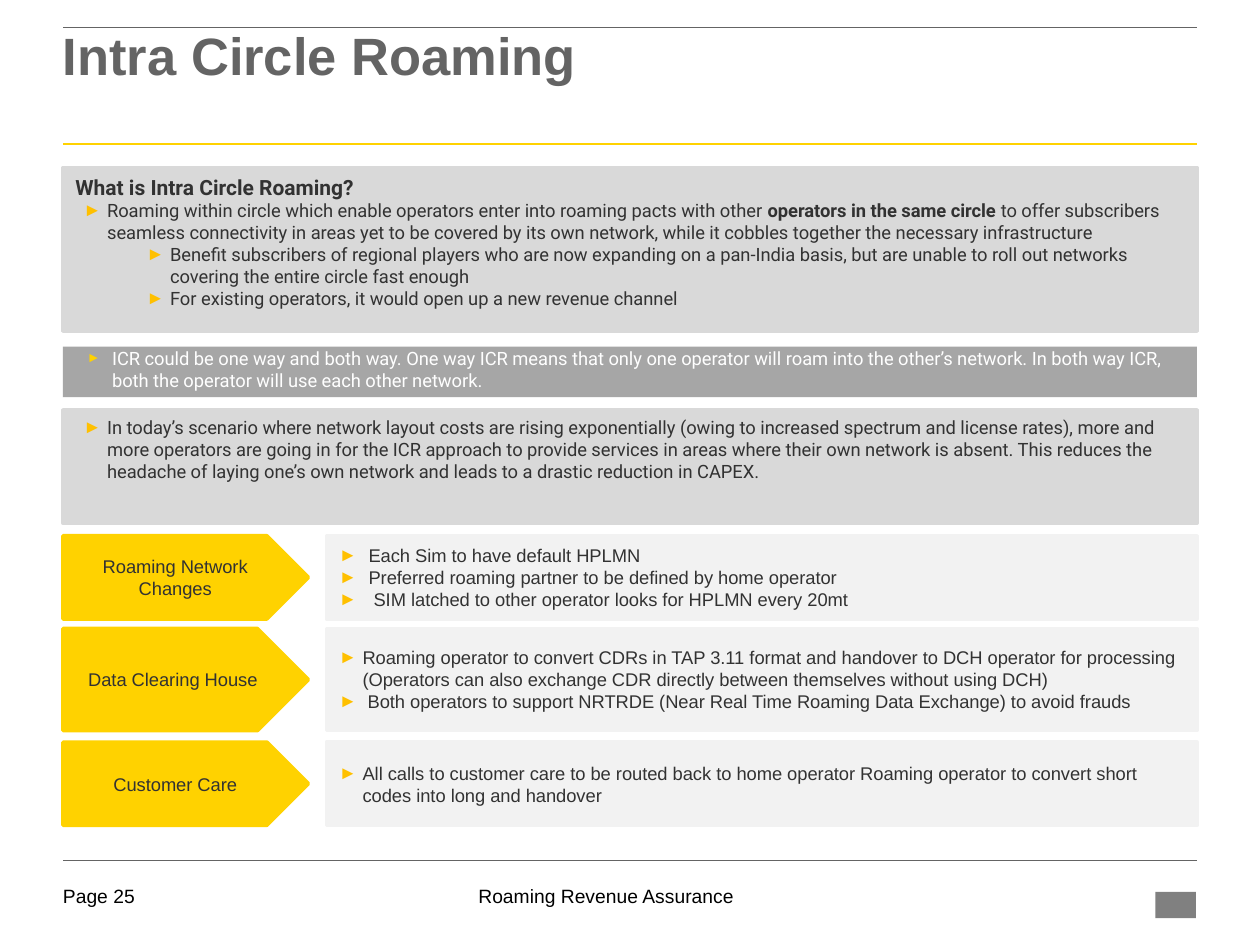
from lxml.etree import SubElement
from pptx import Presentation
from pptx.dml.color import RGBColor
from pptx.enum.shapes import MSO_CONNECTOR as Connector, MSO_SHAPE as Shape
from pptx.enum.text import MSO_ANCHOR as Anchor, PP_ALIGN as Align
from pptx.oxml.ns import qn
from pptx.util import Cm, Pt

COLORS = {
    "yellow": "FFD200", "amber": "FFC000", "title": "646464", "text": "323232",
    "panel": "D9D9D9", "band": "A6A6A6", "detail": "F2F2F2", "mark": "808080",
    "white": "FFFFFF", "black": "000000",
}
LEFT, WIDTH = 1.27, 22.86
DETAIL_LEFT, LABEL_WIDTH = 6.58, 4.95
INSETS = (0.25, 0.13, 0.25, 0.13)
NO_INSETS = (0, 0, 0, 0)

INTRO = [
    "Roaming within circle which enable operators enter into roaming pacts with other "
    "**operators in the same circle **to offer subscribers seamless connectivity in areas yet "
    "to be covered by its own network, while it cobbles together the necessary infrastructure",
]
BENEFITS = [
    "Benefit subscribers of regional players who are now expanding on a pan-India basis, "
    "but are unable to roll out networks covering the entire circle fast enough",
    "For existing operators, it would open up a new revenue channel",
]
WAYS = (
    "ICR could be one way and both way. One way ICR means that only one operator will roam "
    "into the other’s network. In both way ICR, both the operator will use each other network."
)
SCENARIO = (
    "In today’s scenario where network layout costs are rising exponentially (owing to increased "
    "spectrum and license rates), more and more operators are going in for the ICR approach to "
    "provide services in areas where their own network is absent. This reduces the headache of "
    "laying one’s own network and leads to a drastic reduction in CAPEX."
)
IMPACTS = [
    ("Roaming Network Changes", 10.8, 1.68, 0.6, [
        "Each Sim to have default HPLMN",
        "Preferred roaming partner to be defined by home operator",
        " SIM latched to other operator looks for HPLMN every 20mt",
    ]),
    ("Data Clearing House", 12.67, 2.06, 0.48, [
        "Roaming operator to convert CDRs in TAP 3.11 format and handover to DCH operator for "
        "processing (Operators can also exchange CDR directly between themselves without using DCH)",
        " Both operators to support NRTRDE (Near Real Time Roaming Data Exchange) to avoid frauds",
    ]),
    ("Customer Care", 14.96, 1.68, 0.48, [
        "All calls to customer care to be routed back to home operator Roaming operator to "
        "convert short codes into long and handover",
    ]),
]


def rgb(name):
    """Return the named palette colour."""
    return RGBColor.from_string(COLORS[name])


def prepare_frame(shape, insets=INSETS, anchor=Anchor.TOP):
    """Set wrapping, margins and anchor, and return the text frame."""
    frame = shape.text_frame
    frame.word_wrap = True
    frame.vertical_anchor = anchor
    (frame.margin_left, frame.margin_top,
     frame.margin_right, frame.margin_bottom) = map(Cm, insets)
    return frame


def add_bullet(paragraph, indent, hang, color, scale):
    """Give a paragraph a hanging arrow bullet."""
    properties = paragraph._p.get_or_add_pPr()
    properties.set("marL", str(Cm(indent)))
    properties.set("indent", str(-Cm(hang)))
    bullet_color = SubElement(properties, qn("a:buClr"))
    SubElement(bullet_color, qn("a:srgbClr"), val=COLORS[color])
    SubElement(properties, qn("a:buSzPct"), val=str(scale * 1000))
    SubElement(properties, qn("a:buFont"), typeface="Arial")
    SubElement(properties, qn("a:buChar"), char="►")


def add_text(frame, text, size=10.5, font="Arial", color="text", bold=False, align=Align.LEFT,
             spacing=None, indent=None, hang=0.48, bullet="amber", scale=100):
    """Add a paragraph in which double asterisks switch bold on and off."""
    paragraph = frame.paragraphs[0]
    if paragraph.runs:
        paragraph = frame.add_paragraph()
    paragraph.alignment = align
    if spacing:
        paragraph.line_spacing = spacing
    if indent is not None:
        add_bullet(paragraph, indent, hang, bullet, scale)
    for index, part in enumerate(text.split("**")):
        run = paragraph.add_run()
        run.text = part
        run.font.name = font
        run.font.size = Pt(size)
        run.font.bold = bold or index % 2 == 1
        run.font.color.rgb = rgb(color)


def add_box(slide, kind, left, top, width, height, color, outlined=True):
    """Add a flat filled shape, with an outline of the same colour if wanted."""
    shape = slide.shapes.add_shape(kind, Cm(left), Cm(top), Cm(width), Cm(height))
    shape.shadow.inherit = False
    shape.fill.solid()
    shape.fill.fore_color.rgb = rgb(color)
    if outlined:
        shape.line.color.rgb = rgb(color)
        shape.line.width = Pt(2)
    else:
        shape.line.fill.background()
    return shape


def add_label(slide, text, left, top, width, height, insets=NO_INSETS, **style):
    """Add a text box holding one paragraph."""
    box = slide.shapes.add_textbox(Cm(left), Cm(top), Cm(width), Cm(height))
    add_text(prepare_frame(box, insets), text, **style)


def add_rule(slide, top, color, weight):
    """Add a horizontal line across the content width."""
    line = slide.shapes.add_connector(
        Connector.STRAIGHT, Cm(LEFT), Cm(top), Cm(LEFT + WIDTH), Cm(top))
    line.line.color.rgb = rgb(color)
    line.line.width = Pt(weight)
    SubElement(line._element.spPr, qn("a:effectLst"))


def add_page_frame(slide):
    """Add the title, the rules and the footer."""
    for top, color, weight in [(0.56, "title", 0.5), (2.9, "yellow", 1.5), (17.35, "title", 0.25)]:
        add_rule(slide, top, color, weight)
    add_label(slide, "Intra Circle Roaming", LEFT, 0.56, WIDTH, 2.39, insets=(0, 0.1, 0, 0),
              size=30, color="title", bold=True, spacing=0.85)
    add_label(slide, "Page 25", LEFT, 17.83, 1.85, 0.56, size=11, color="black")
    add_label(slide, "Roaming Revenue Assurance", 6.99, 17.83, 10.46, 0.58,
              size=11, color="black", align=Align.CENTER)
    add_box(slide, Shape.RECTANGLE, 23.29, 17.98, 0.82, 0.53, "mark", outlined=False)


def add_explanation(slide):
    """Add the three full-width panels about intra circle roaming."""
    intro = prepare_frame(add_box(slide, Shape.RECTANGLE, LEFT, 3.38, WIDTH, 3.3, "panel"))
    add_text(intro, "What is Intra Circle Roaming?", size=12, font="Roboto", bold=True)
    for indent, points in [(0.64, INTRO), (1.91, BENEFITS)]:
        for point in points:
            add_text(intro, point, font="Roboto", indent=indent)

    band = add_box(slide, Shape.RECTANGLE, LEFT, 6.99, WIDTH, 1.02, "band", outlined=False)
    add_text(prepare_frame(band, NO_INSETS), WAYS, font="Roboto", color="white",
             indent=0.99, hang=0.51, bullet="yellow", scale=75)

    scenario = add_box(slide, Shape.RECTANGLE, LEFT, 8.26, WIDTH, 2.29, "panel")
    add_text(prepare_frame(scenario), SCENARIO, font="Roboto", indent=0.64)


def add_impact(slide, label, top, height, indent, points):
    """Add a row with an arrow label and its bulleted details."""
    detail = add_box(slide, Shape.RECTANGLE, DETAIL_LEFT, top,
                     LEFT + WIDTH - DETAIL_LEFT, height, "detail")
    frame = prepare_frame(detail, anchor=Anchor.MIDDLE)
    for point in points:
        add_text(frame, point, indent=indent, hang=indent)
    arrow = add_box(slide, Shape.PENTAGON, LEFT, top, LABEL_WIDTH, height, "yellow")
    add_text(prepare_frame(arrow, anchor=Anchor.MIDDLE), label, align=Align.CENTER)


def main():
    """Build the slide and save it."""
    presentation = Presentation()
    presentation.slide_width, presentation.slide_height = Cm(25.4), Cm(19.05)
    slide = presentation.slides.add_slide(presentation.slide_layouts[6])
    add_page_frame(slide)
    add_explanation(slide)
    for impact in IMPACTS:
        add_impact(slide, *impact)
    presentation.save("out.pptx")


if __name__ == "__main__":
    main()
